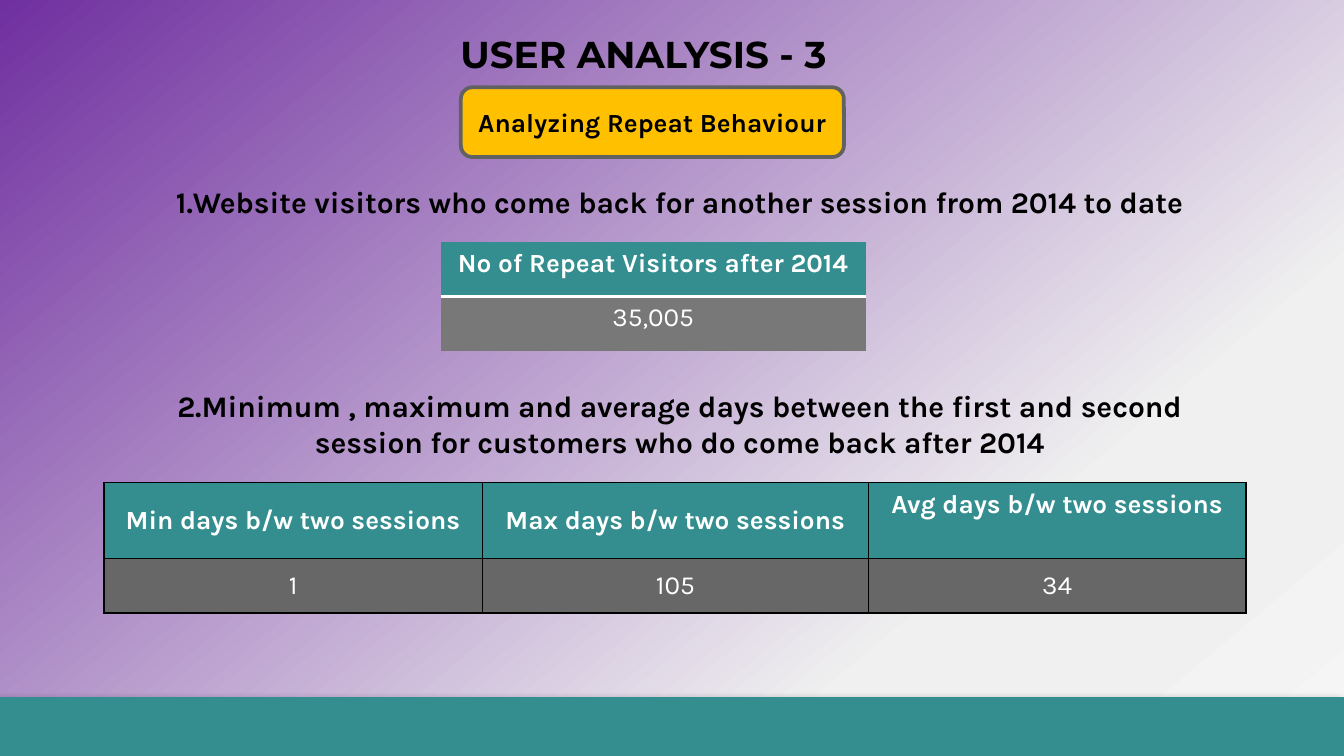
from lxml.etree import SubElement
from pptx import Presentation
from pptx.dml.color import RGBColor
from pptx.enum.shapes import MSO_SHAPE as Shape
from pptx.enum.text import MSO_ANCHOR as Anchor, PP_ALIGN as Align
from pptx.oxml import parse_xml
from pptx.oxml.ns import nsdecls, qn
from pptx.util import Cm, Pt

TEAL = "348E90"
BLACK = "000000"
WHITE = "FFFFFF"
PLAIN_TABLE_STYLE = "{2D5ABB26-0587-4C30-8999-92F81FD0307C}"
BACKGROUND_STOPS = [(0, "7030A0"), (74, "F0F0F0"), (83, "F0F0F0"), (100, "F5F5F5")]


def color(hex_value):
    return RGBColor.from_string(hex_value)


def paint(target, hex_value):
    target.fill.solid()
    target.fill.fore_color.rgb = color(hex_value)


def write(frame, text, size=14, font="Karla", ink=BLACK, bold=True, anchor=Anchor.TOP):
    frame.vertical_anchor = anchor
    paragraph = frame.paragraphs[0]
    paragraph.alignment = Align.CENTER
    run = paragraph.add_run()
    run.text = text
    run.font.name = font
    run.font.size = Pt(size)
    run.font.bold = bold
    run.font.color.rgb = color(ink)


def set_background(slide):
    fill = slide.background.fill
    fill.gradient()
    fill.gradient_angle = 310
    stops = slide.background._cSld.find(".//" + qn("a:gsLst"))
    stops.clear()
    for position, hex_value in BACKGROUND_STOPS:
        stop = SubElement(stops, qn("a:gs"), pos=str(position * 1000))
        SubElement(stop, qn("a:srgbClr"), val=hex_value)


def add_footer_band(slide, left, top, width, height):
    band = slide.shapes.add_shape(
        Shape.RECTANGLE, Cm(left), Cm(top), Cm(width), Cm(height))
    paint(band, TEAL)
    band.line.fill.background()
    band.shadow.inherit = False
    effects = band._element.spPr.find(qn("a:effectLst"))
    shadow = SubElement(effects, qn("a:outerShdw"), blurRad=str(Pt(4)),
                        dist=str(Pt(3)), dir=str(135 * 60000), rotWithShape="0")
    tint = SubElement(shadow, qn("a:srgbClr"), val=BLACK)
    SubElement(tint, qn("a:alpha"), val="40000")


def place_title(slide, text, left, top, width, height):
    title = slide.shapes.title
    title.left, title.top = Cm(left), Cm(top)
    title.width, title.height = Cm(width), Cm(height)
    frame = title.text_frame
    frame.margin_top = frame.margin_bottom = Cm(0.25)
    write(frame, text, size=20, font="Montserrat", anchor=Anchor.MIDDLE)


def add_topic_badge(slide, text, left, top, width, height):
    badge = slide.shapes.add_shape(
        Shape.ROUNDED_RECTANGLE, Cm(left), Cm(top), Cm(width), Cm(height))
    paint(badge, "FFC000")
    badge.line.color.rgb = color("616161")
    badge.line.width = Pt(2)
    badge.shadow.inherit = False
    badge.text_frame.word_wrap = False
    write(badge.text_frame, text, anchor=Anchor.MIDDLE)


def add_question(slide, text, left, top, width, height):
    question = slide.shapes.add_textbox(Cm(left), Cm(top), Cm(width), Cm(height))
    question.text_frame.word_wrap = True
    write(question.text_frame, text, size=16)


def set_borders(cell, sides, hex_value, points):
    """Draw the given sides, a string of letters in the order L, R, T, B."""
    properties = cell._tc.get_or_add_tcPr()
    for index, side in enumerate(sides):
        properties.insert(index, parse_xml(
            f'<a:ln{side} {nsdecls("a")} w="{Pt(points)}"><a:solidFill>'
            f'<a:srgbClr val="{hex_value}"/></a:solidFill></a:ln{side}>'))


def add_result_table(slide, headers, values, left, top, widths, heights,
                     value_fill, anchor=Anchor.TOP):
    table = slide.shapes.add_table(
        2, len(headers), Cm(left), Cm(top), Cm(sum(widths)), Cm(sum(heights))).table
    table.first_row = table.horz_banding = False
    table._tbl.tblPr.find(qn("a:tableStyleId")).text = PLAIN_TABLE_STYLE
    for column, width in zip(table.columns, widths):
        column.width = Cm(width)
    rows = [(headers, TEAL, True), (values, value_fill, False)]
    for row, height, (texts, fill, bold) in zip(table.rows, heights, rows):
        row.height = Cm(height)
        for cell, text in zip(row.cells, texts):
            paint(cell, fill)
            write(cell.text_frame, text, ink=WHITE, bold=bold)
            cell.vertical_anchor = anchor
    return table


def add_visitor_count(slide, left, top, width):
    table = add_result_table(
        slide, ["No of Repeat Visitors after 2014"], ["35,005"],
        left, top, [width], [1.03, 1.03], "787878")
    set_borders(table.cell(0, 0), "B", WHITE, 2)
    set_borders(table.cell(1, 0), "T", WHITE, 2)


def add_days_between(slide, left, top, widths):
    headers = [f"{measure} days b/w two sessions" for measure in ("Min", "Max", "Avg")]
    table = add_result_table(
        slide, headers, ["1", "105", "34"], left, top, widths, [1.44, 1.03],
        "676767", anchor=Anchor.MIDDLE)
    table.cell(0, 2).vertical_anchor = Anchor.TOP
    for cell in table.iter_cells():
        set_borders(cell, "LRTB", BLACK, 1)


def main():
    deck = Presentation()
    deck.slide_width, deck.slide_height = Cm(25.4), Cm(14.29)
    slide = deck.slides.add_slide(deck.slide_layouts[5])
    set_background(slide)
    add_footer_band(slide, 0, 13.18, 25.4, 1.11)
    place_title(slide, "USER ANALYSIS - 3", 1.04, 0.28, 22.25, 1.45)
    add_topic_badge(slide, "Analyzing Repeat Behaviour", 8.71, 1.65, 7.24, 1.32)
    add_question(
        slide, "1.Website visitors who come back for another session from 2014 to date",
        2.18, 3.35, 21.34, 0.94)
    add_visitor_count(slide, 8.33, 4.57, 8.03)
    add_question(
        slide, "2.Minimum , maximum and average days between the first and second "
        "session for customers who do come back after 2014",
        2.18, 7.21, 21.34, 1.63)
    add_days_between(slide, 1.96, 9.12, [7.16, 7.29, 7.14])
    deck.save("out.pptx")


if __name__ == "__main__":
    main()
